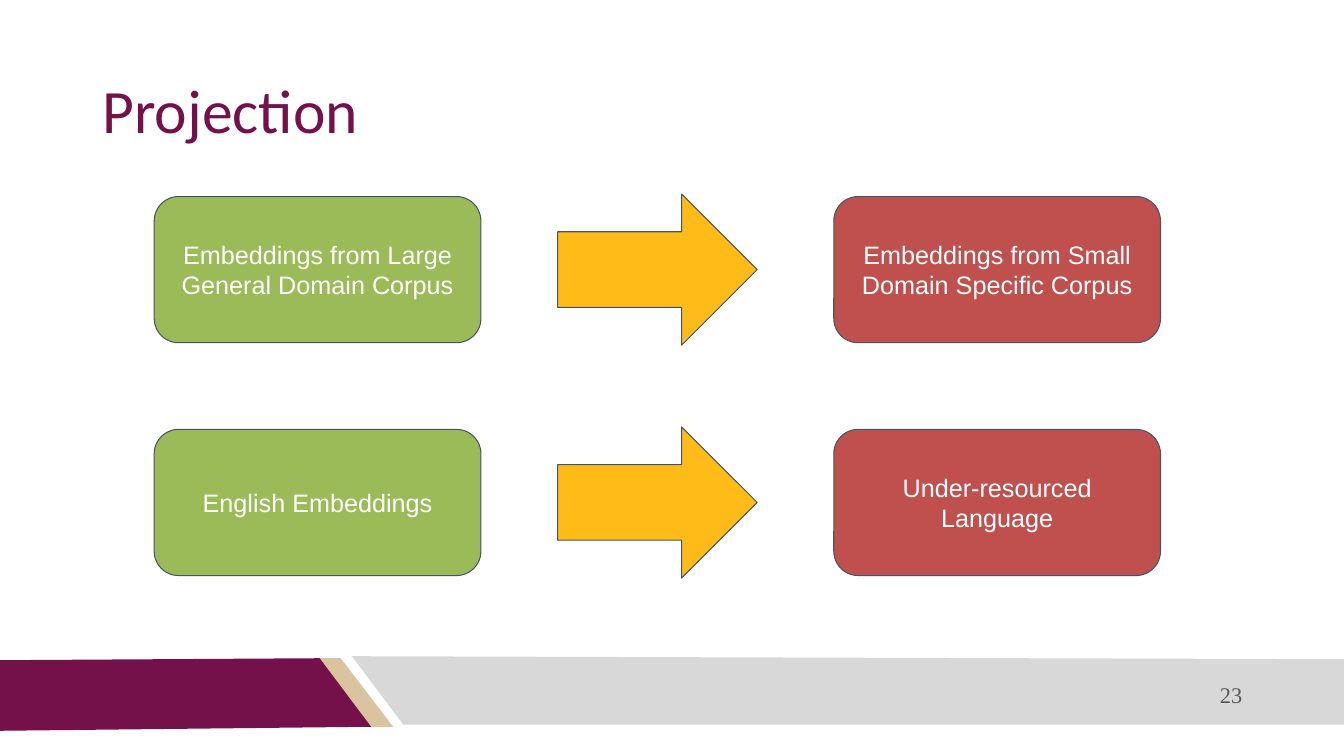
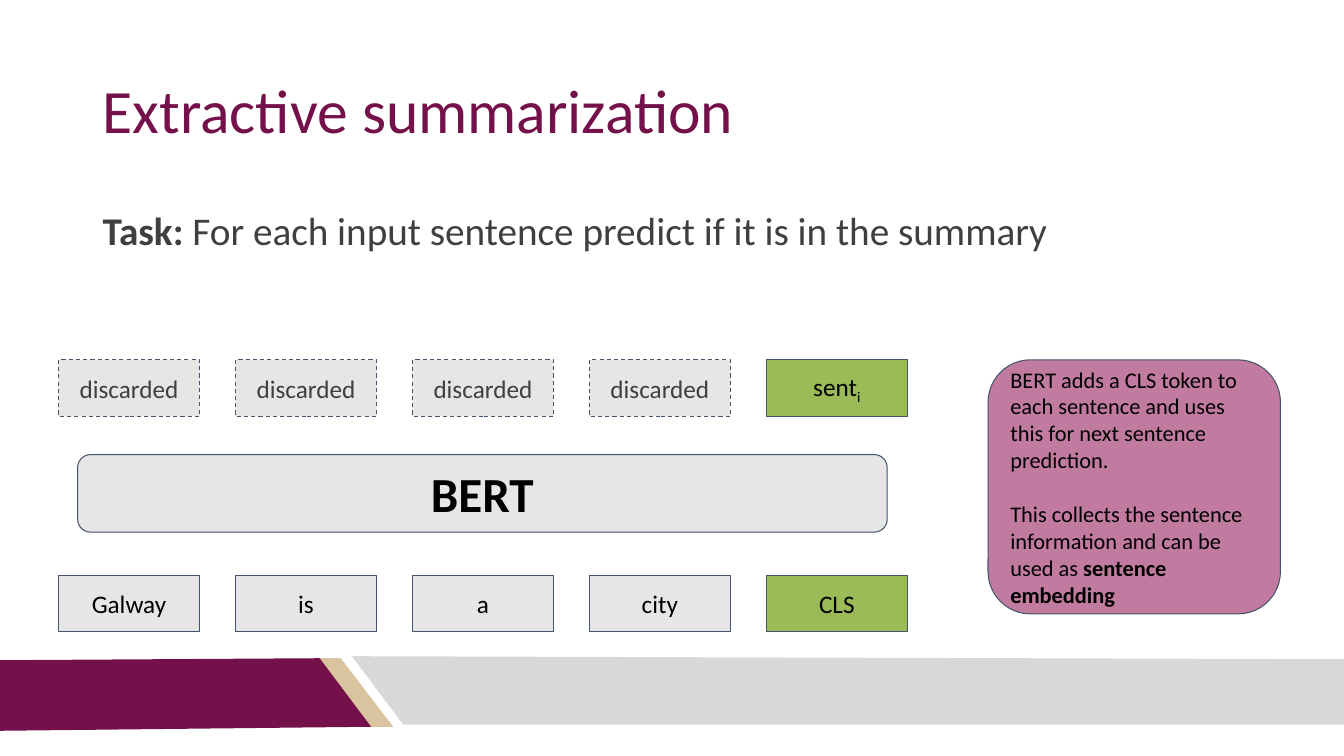
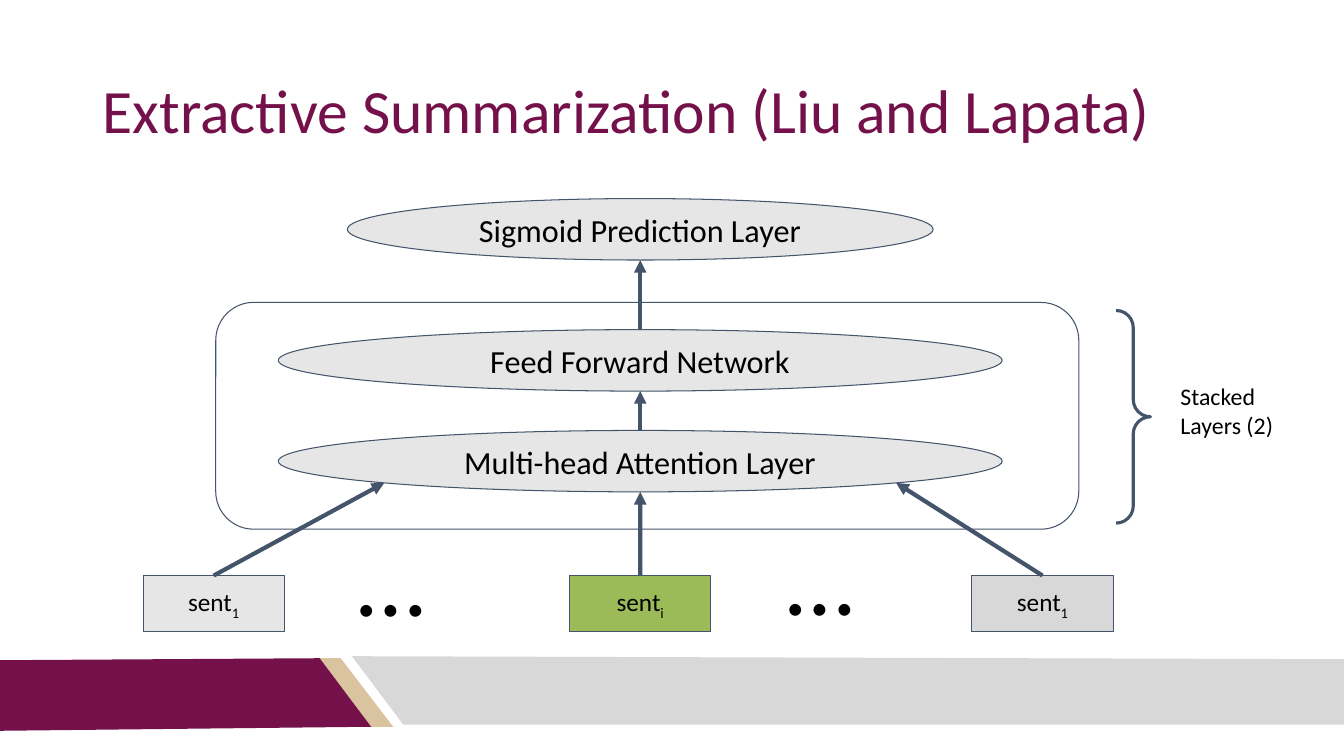
import pptx
import pptx.util
import pptx.dml.color
import pptx.enum.dml
import pptx.enum.shapes
import pptx.enum.text
import pptx.oxml.ns
import math
from dataclasses import dataclass
from lxml import etree

Inches = pptx.util.Inches
Kind = pptx.enum.shapes.MSO_SHAPE
Align = pptx.enum.text.PP_ALIGN
Anchor = pptx.enum.text.MSO_ANCHOR


@dataclass(frozen=True)
class Theme:
    plum: str = "75114A"
    sand: str = "D9C49F"
    silver: str = "D8D8D8"
    pale: str = "E7E6E6"
    green: str = "9BBB59"
    red: str = "C0504D"
    gold: str = "FFBC19"
    pink: str = "C27BA0"
    slate: str = "44546A"
    dark: str = "3F3F3F"
    grey: str = "595959"
    black: str = "000000"
    white: str = "FFFFFF"
    font: str = "Calibri"
    sans: str = "Arial"
    serif: str = "Times New Roman"
    title: int = 44
    lead: int = 28
    model: int = 35
    layer: int = 23
    label: int = 18
    side: int = 17
    note: int = 16
    dots: int = 70
    thin: float = 0.75
    brace: float = 2.25
    thick: float = 3
    inset: float = 0.1


T = Theme()
WIDE, HIGH = 13.33, 7.5
TITLE = (0.92, 0.4, 11.5, 1.45)
# Band corners in hundredths of an inch, as freeform points are whole numbers.
BANDS = [
    (T.sand, [(316, 653), (338, 653), (390, 721), (367, 721)]),
    (T.plum, [(-1, 655), (317, 653), (368, 721), (-1, 725)]),
    (T.silver, [(1337, 719), (400, 719), (349, 651), (1334, 654)]),
]

PAIRS = [
    ("Embeddings from Large General Domain Corpus",
     "Embeddings from Small Domain Specific Corpus"),
    ("English Embeddings", "Under-resourced Language"),
]

# A text is a string or a list of paragraphs; a paragraph is a list of runs,
# each a string or a (string, style) pair.
SENT_I = [["sent", ("i", "sub")]]
SENT_1 = [["sent", ("1", "sub")]]
TASK = [[("Task:", "bold"), " For each input sentence predict if it is in the summary"]]
WORDS = ["Galway", "is", "a", "city", "CLS"]
NOTE = [
    ["BERT adds a CLS token to each sentence and uses this for next sentence prediction."],
    ["This collects the sentence information and can be used as ",
     ("sentence embedding", "bold")],
]

CELL = (1.4, 0.56)
CELL_TOP = 5.71
LAYERS = [  # text, top, width
    ("Multi-head Attention Layer", 4.27, 7.18),
    ("Feed Forward Network", 3.27, 7.18),
    ("Sigmoid Prediction Layer", 1.97, 5.81),
]
LAYER_HIGH = 0.61
AXIS = 6.35
INPUTS = [(SENT_1, 2.12, T.pale), (SENT_I, AXIS, T.green), (SENT_1, 10.34, T.silver)]
DOTS = [(3.45, 5.04), (7.7, 5.03)]


def rgb(tone):
    return pptx.dml.color.RGBColor.from_string(tone)


def write(shape, text, size=T.label, font=T.font, tone=T.black, bold=False,
          align=Align.CENTER, anchor=Anchor.MIDDLE, lead=None, gap=0):
    """Fill a shape with text; gap is the space between paragraphs in points."""
    frame = shape.text_frame
    frame.word_wrap = True
    frame.vertical_anchor = anchor
    frame.margin_left = frame.margin_right = Inches(T.inset)
    frame.margin_top = frame.margin_bottom = Inches(T.inset)
    parts = [[text]] if isinstance(text, str) else text
    for i, runs in enumerate(parts):
        para = frame.add_paragraph() if i else frame.paragraphs[0]
        para.alignment = align
        if lead:
            para.line_spacing = lead
        if i and gap:
            para.space_before = pptx.util.Pt(gap)
        for item in runs:
            words, style = (item, "") if isinstance(item, str) else item
            run = para.add_run()
            run.text = words
            run.font.name = font
            run.font.size = pptx.util.Pt(size)
            run.font.bold = bold or style == "bold"
            run.font.color.rgb = rgb(tone)
            if style == "sub":
                run.font._element.set("baseline", "-25000")


def label(slide, area, text, align=Align.LEFT, anchor=Anchor.TOP, **form):
    box = slide.shapes.add_textbox(*map(Inches, area))
    write(box, text, align=align, anchor=anchor, **form)


def paint(shape, fill):
    shape.shadow.inherit = False
    if fill:
        shape.fill.solid()
        shape.fill.fore_color.rgb = rgb(fill)
    else:
        shape.fill.background()


def block(slide, kind, area, fill=None, text=None, dash=False, width=T.thin, **form):
    shape = slide.shapes.add_shape(kind, *map(Inches, area))
    paint(shape, fill)
    shape.line.color.rgb = rgb(T.slate)
    shape.line.width = pptx.util.Pt(width)
    if dash:
        shape.line.dash_style = pptx.enum.dml.MSO_LINE.DASH
    if text:
        write(shape, text, **form)
    return shape


def arrow(slide, start, end, source):
    """Draw an arrow that is joined to the top of source."""
    link = slide.shapes.add_connector(
        pptx.enum.shapes.MSO_CONNECTOR.STRAIGHT, *map(Inches, start + end))
    link.begin_connect(source, 0)
    link.line.color.rgb = rgb(T.slate)
    link.line.width = pptx.util.Pt(T.thick)
    name = pptx.oxml.ns.qn
    props = link._element.spPr
    etree.SubElement(props.find(name("a:ln")), name("a:tailEnd"), type="triangle")
    etree.SubElement(props, name("a:effectLst"))


def start(deck, title):
    """Add a slide with the shared bands and title."""
    slide = deck.slides.add_slide(deck.slide_layouts[6])
    for tone, points in BANDS:
        edge = slide.shapes.build_freeform(*points[0], scale=Inches(0.01))
        edge.add_line_segments(points[1:], close=True)
        band = edge.convert_to_shape()
        paint(band, tone)
        band.line.fill.background()
    label(slide, TITLE, title, size=T.title, tone=T.plum, anchor=Anchor.MIDDLE, lead=0.9)
    return slide


def project(deck):
    slide = start(deck, "Projection")
    label(slide, (7.92, 6.69, 4.5, 0.4), "23", size=T.note, font=T.serif,
          tone=T.grey, align=Align.RIGHT, anchor=Anchor.MIDDLE)
    wide, high, gap = 3.24, 1.45, 0.76
    span, tall = 1.98, 1.5
    left, top, pitch = 1.53, 1.95, 2.31
    mid = left + wide + gap
    for row, texts in enumerate(PAIRS):
        y = top + row * pitch
        spots = (left, mid + span + gap)
        for x, text, fill in zip(spots, texts, (T.green, T.red)):
            block(slide, Kind.ROUNDED_RECTANGLE, (x, y, wide, high), fill, text,
                  font=T.sans, tone=T.white)
        block(slide, Kind.RIGHT_ARROW, (mid, y - (tall - high) / 2, span, tall), T.gold)


def extract(deck):
    slide = start(deck, "Extractive summarization")
    label(slide, (0.92, 2, 11.5, 0.92), TASK, size=T.lead, tone=T.dark, lead=0.9)
    left, right, top = 0.58, 7.6, 3.57
    pitch = (right - left) / (len(WORDS) - 1)
    for col, word in enumerate(WORDS):
        x = left + col * pitch
        last = col == len(WORDS) - 1
        fill = T.green if last else T.pale
        block(slide, Kind.RECTANGLE, (x, CELL_TOP, *CELL), fill, word)
        block(slide, Kind.RECTANGLE, (x, top, *CELL), fill,
              SENT_I if last else "discarded", dash=not last,
              tone=T.black if last else T.dark)
    block(slide, Kind.ROUNDED_RECTANGLE, (0.77, 4.51, 8.03, 0.77), T.pale, "BERT",
          size=T.model, bold=True)
    block(slide, Kind.ROUNDED_RECTANGLE, (9.8, top, 2.9, 2.52), T.pink, NOTE,
          size=T.note, align=Align.LEFT, gap=19.5)


def stack(deck):
    slide = start(deck, "Extractive Summarization (Liu and Lapata)")
    block(slide, Kind.ROUNDED_RECTANGLE, (2.14, 3, 8.56, 2.25))
    cells = [block(slide, Kind.RECTANGLE, (x - CELL[0] / 2, CELL_TOP, *CELL), fill, text)
             for text, x, fill in INPUTS]
    ovals = [block(slide, Kind.OVAL, (AXIS - wide / 2, top, wide, LAYER_HIGH),
                   T.pale, text, size=T.layer)
             for text, top, wide in LAYERS]

    _, base, wide = LAYERS[0]
    for cell, (_, x, _), turn in zip(cells, INPUTS, (135, 90, 45)):
        angle = math.radians(turn)
        end = (AXIS + wide / 2 * math.cos(angle),
               base + LAYER_HIGH / 2 * (1 + math.sin(angle)))
        arrow(slide, (x, CELL_TOP), end, cell)
    for oval, lower, upper in zip(ovals, LAYERS, LAYERS[1:]):
        arrow(slide, (AXIS, lower[1]), (AXIS, upper[1] + LAYER_HIGH), oval)

    for spot in DOTS:
        label(slide, (*spot, 1.69, 1.38), "…", size=T.dots)
    brace = block(slide, Kind.RIGHT_BRACE, (11.07, 3.08, 0.34, 2.11), width=T.brace)
    brace.adjustments[0] = 0.5
    label(slide, (11.61, 3.69, 1.4, 0.77), "Stacked Layers (2)", size=T.side)


def main():
    deck = pptx.Presentation()
    deck.slide_width, deck.slide_height = Inches(WIDE), Inches(HIGH)
    for build in (project, extract, stack):
        build(deck)
    deck.save("out.pptx")


if __name__ == "__main__":
    main()
